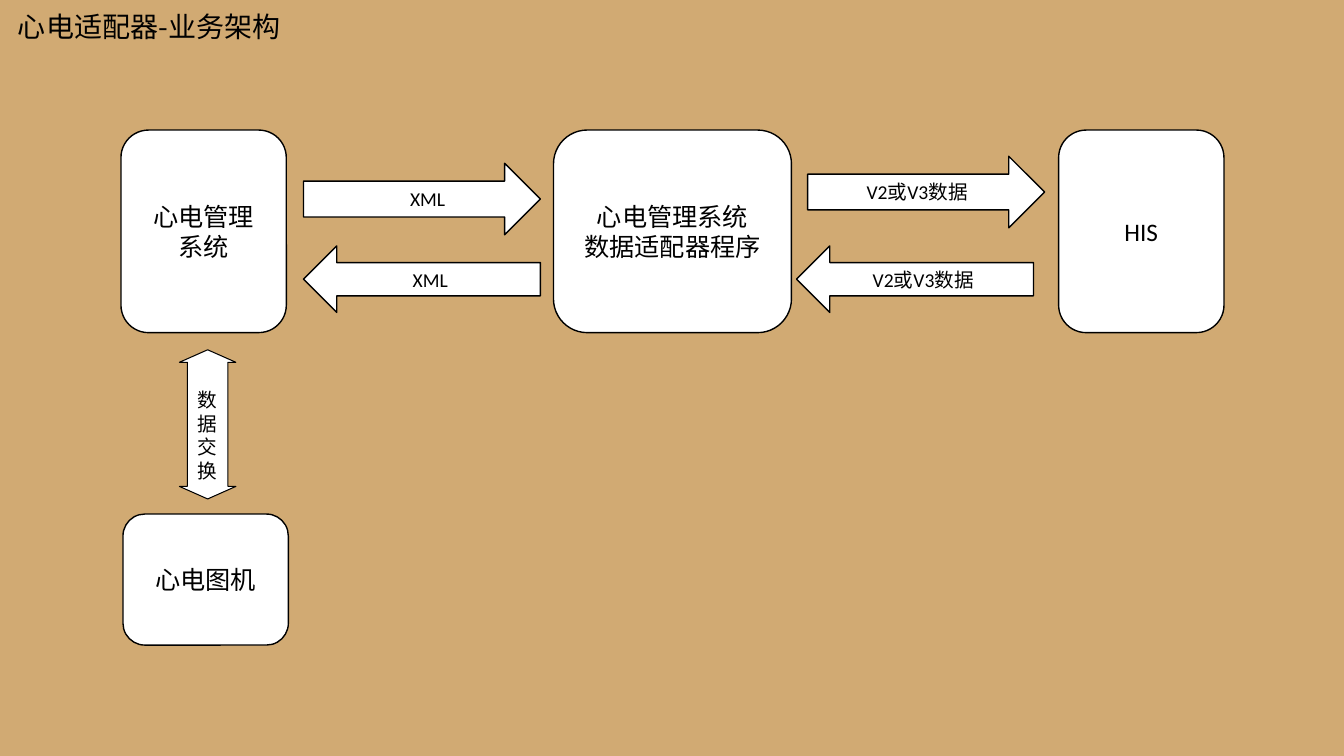
from dataclasses import dataclass

from lxml import etree
from pptx import Presentation
from pptx.dml.color import RGBColor
from pptx.enum.shapes import MSO_SHAPE
from pptx.enum.text import MSO_ANCHOR, PP_ALIGN
from pptx.oxml.ns import qn
from pptx.util import Inches, Pt

ROUND = MSO_SHAPE.ROUNDED_RECTANGLE
RIGHT = MSO_SHAPE.RIGHT_ARROW
LEFT = MSO_SHAPE.LEFT_ARROW
UP_DOWN = MSO_SHAPE.UP_DOWN_ARROW
TOP, MIDDLE = MSO_ANCHOR.TOP, MSO_ANCHOR.MIDDLE
ALIGN_LEFT, CENTER = PP_ALIGN.LEFT, PP_ALIGN.CENTER

LATIN, CJK = "Calibri", "Noto Sans CJK SC"
TAN, WHITE, BLACK = "D1AA73", "FFFFFF", "000000"

CELL = 0.1
SYSTEM_ROW, SYSTEM_ROWS = 12.9, 20.1
BOX_COLS, ARROW_COLS = 16.4, 23.5
RIGHT_ROWS, LEFT_ROWS = 7.1, 6.6
REPLY_ROW = 24.4


@dataclass
class Node:
    text: str
    col: float
    row: float
    cols: float
    rows: float
    font: str = CJK


@dataclass
class Arrow:
    text: str
    kind: MSO_SHAPE
    col: float
    row: float
    cols: float
    rows: float
    line: float = 1
    adjust: tuple[int, ...] = ()
    anchor: MSO_ANCHOR = MIDDLE
    inset_left: float = 1
    inset_top: float = 0.5


NODES = [
    Node("HIS", 105, SYSTEM_ROW, BOX_COLS, SYSTEM_ROWS, LATIN),
    Node("心电管理系统\n数据适配器程序", 54.9, SYSTEM_ROW, 23.6, SYSTEM_ROWS),
    Node("心电管理\n系统", 12, SYSTEM_ROW, BOX_COLS, SYSTEM_ROWS),
    Node("心电图机", 12.2, 51, BOX_COLS, 13),
]

ARROWS = [
    Arrow("XML", RIGHT, 30.1, 16.2, ARROW_COLS, RIGHT_ROWS, inset_left=3.9),
    Arrow("V2或V3数据", RIGHT, 80.1, 15.5, ARROW_COLS, RIGHT_ROWS),
    Arrow("V2或V3数据", LEFT, 79, REPLY_ROW, ARROW_COLS, LEFT_ROWS),
    Arrow("XML", LEFT, 30.1, REPLY_ROW, ARROW_COLS, LEFT_ROWS),
    Arrow("数据交换", UP_DOWN, 17.8, 34.7, 5.6, 14.8, line=0.75,
          adjust=(72100, 22200), anchor=TOP, inset_top=2.9),
]


def grid(n: float) -> int:
    return Inches(n * CELL)


def color(value: str) -> RGBColor:
    return RGBColor.from_string(value)


def write(s, text: str, *, size: float, font: str = LATIN, align=CENTER,
          anchor=MIDDLE, left: float = 1, top: float = 0.5) -> None:
    tf = s.text_frame
    tf.word_wrap = True
    tf.vertical_anchor = anchor
    tf.margin_left, tf.margin_top = grid(left), grid(top)
    for i, line in enumerate(text.split("\n")):
        p = tf.paragraphs[0] if i == 0 else tf.add_paragraph()
        p.alignment = align
        r = p.add_run()
        r.text = line
        r.font.name = font
        r.font.size = Pt(size)
        r.font.color.rgb = color(BLACK)
        etree.SubElement(r.font._element, qn("a:ea"), typeface=CJK)


def set_guides(s, values: tuple[int, ...]) -> None:
    guides = next(s._element.iter(qn("a:avLst")))
    for guide in list(guides):
        guides.remove(guide)
    for i, value in enumerate(values, 1):
        etree.SubElement(guides, qn("a:gd"), name=f"adj{i}", fmla=f"val {value}")


def add_outlined(sp, kind: MSO_SHAPE, item: Node | Arrow, width: float):
    s = sp.add_shape(kind, grid(item.col), grid(item.row),
                     grid(item.cols), grid(item.rows))
    s.shadow.inherit = False
    s.fill.solid()
    s.fill.fore_color.rgb = color(WHITE)
    s.line.color.rgb = color(BLACK)
    s.line.width = Pt(width)
    return s


def draw_node(sp, node: Node) -> None:
    s = add_outlined(sp, ROUND, node, 1)
    write(s, node.text, size=18, font=node.font)


def draw_arrow(sp, arrow: Arrow) -> None:
    s = add_outlined(sp, arrow.kind, arrow, arrow.line)
    if arrow.adjust:
        set_guides(s, arrow.adjust)
    write(s, arrow.text, size=14, anchor=arrow.anchor,
          left=arrow.inset_left, top=arrow.inset_top)


def main() -> None:
    prs = Presentation()
    prs.slide_width, prs.slide_height = Inches(13.33), Inches(7.5)
    slide = prs.slides.add_slide(prs.slide_layouts[6])
    slide.background.fill.solid()
    slide.background.fill.fore_color.rgb = color(TAN)
    sp = slide.shapes
    for arrow in ARROWS:
        draw_arrow(sp, arrow)
    title = sp.add_textbox(grid(0.8), grid(0.5), grid(28.5), grid(4.4))
    write(title, "心电适配器-业务架构", size=20, font=CJK,
          align=ALIGN_LEFT, anchor=TOP)
    for node in NODES:
        draw_node(sp, node)
    prs.save("out.pptx")


if __name__ == "__main__":
    main()
